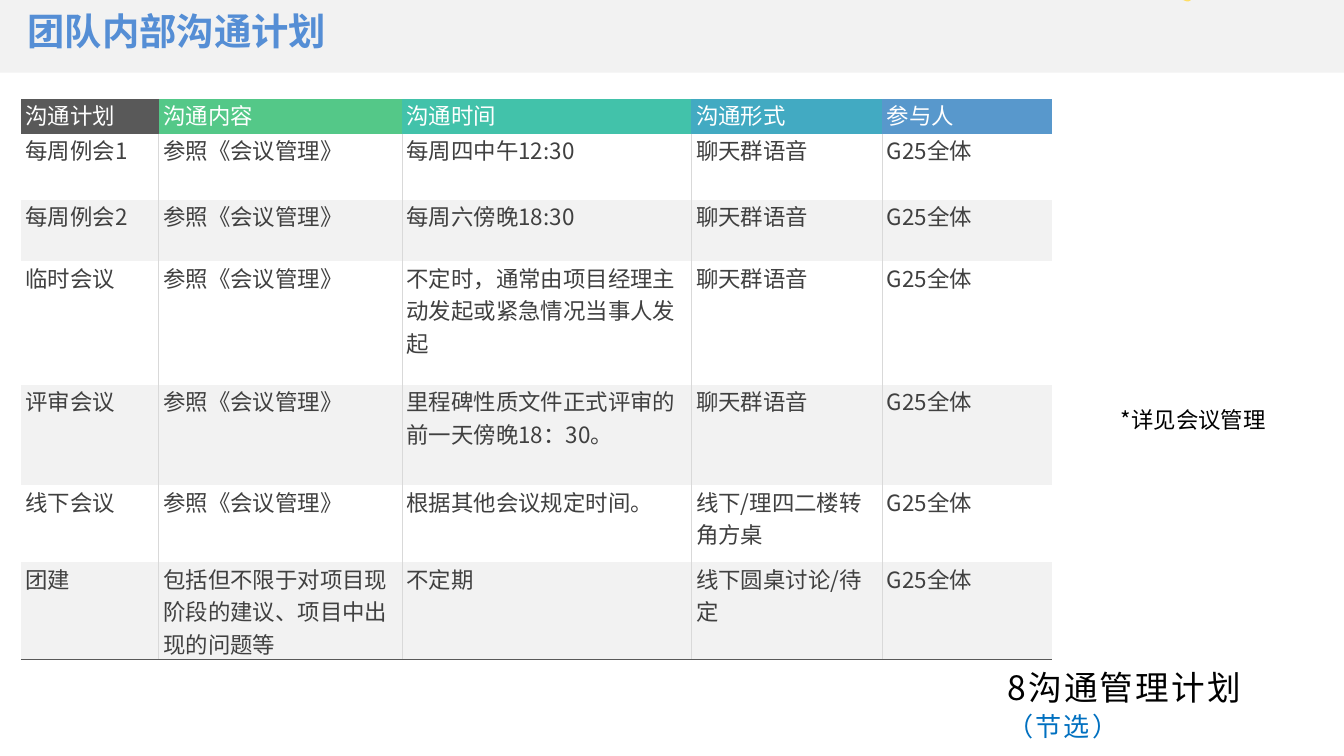
from dataclasses import dataclass

from lxml.etree import SubElement
from pptx import Presentation
from pptx.dml.color import RGBColor
from pptx.enum.shapes import MSO_SHAPE
from pptx.enum.text import MSO_ANCHOR, MSO_AUTO_SIZE, PP_ALIGN
from pptx.oxml import parse_xml
from pptx.oxml.ns import nsdecls, qn
from pptx.util import Pt

EMU_PER_PX = 9144  # 100 px to the inch


@dataclass(frozen=True)
class Theme:
    font: str = "Noto Sans CJK SC"
    title_size: int = 40
    chapter_size: int = 36
    excerpt_size: int = 28
    body_size: int = 24
    title: str = "558ED5"
    excerpt: str = "0070C0"
    black: str = "000000"
    body: str = "404040"
    white: str = "FFFFFF"
    band: str = "F2F2F2"
    accent: str = "FFDE62"
    grid: str = "D9D9D9"
    rule: str = "595959"
    headers: tuple = ("595959", "54C888", "42C2AA", "42AAC2", "5898CC")


THEME = Theme()

COLUMN_WIDTHS = (205, 362, 431, 284, 252)
ROW_HEIGHTS = (52, 98, 92, 184, 149, 115, 145)
MEETING_RULES = "参照《会议管理》"
GROUP_CALL = "聊天群语音"
EVERYONE = "G25全体"
PLAN = (
    ("沟通计划", "沟通内容", "沟通时间", "沟通形式", "参与人"),
    ("每周例会1", MEETING_RULES, "每周四中午12:30", GROUP_CALL, EVERYONE),
    ("每周例会2", MEETING_RULES, "每周六傍晚18:30", GROUP_CALL, EVERYONE),
    ("临时会议", MEETING_RULES, "不定时，通常由项目经理主动发起或紧急情况当事人发起",
     GROUP_CALL, EVERYONE),
    ("评审会议", MEETING_RULES, "里程碑性质文件正式评审的前一天傍晚18：30。",
     GROUP_CALL, EVERYONE),
    ("线下会议", MEETING_RULES, "根据其他会议规定时间。", "线下/理四二楼转角方桌", EVERYONE),
    ("团建", "包括但不限于对项目现阶段的建议、项目中出现的问题等", "不定期",
     "线下圆桌讨论/待定", EVERYONE),
)


def px(*lengths):
    return [length * EMU_PER_PX for length in lengths]


def rgb(color):
    return RGBColor.from_string(color)


def write(paragraph, text, size, color, bold=False, tracking=0):
    """Fill a paragraph; tracking is in hundredths of a point."""
    paragraph.text = text
    font = paragraph.font
    font.size, font.bold, font.name = Pt(size), bold, THEME.font
    font.color.rgb = rgb(color)
    properties = font._rPr
    SubElement(properties, qn("a:ea"), typeface=THEME.font)
    if tracking:
        properties.set("spc", str(tracking))


def paint(shape, color):
    shape.shadow.inherit = False
    shape.fill.solid()
    shape.fill.fore_color.rgb = rgb(color)
    shape.line.fill.background()


def add_header_band(slide):
    band = slide.shapes.add_shape(MSO_SHAPE.RECTANGLE, *px(0, -10, 2000, 118))
    paint(band, THEME.band)
    outline = slide.shapes.build_freeform(1760, 0, scale=EMU_PER_PX)
    outline.add_line_segments(
        [(1772, 0), (1771, 1), (1769, 2), (1766, 2), (1763, 1), (1761, 0)])
    paint(outline.convert_to_shape(), THEME.accent)


def place_title(slide, text):
    title = slide.shapes.title
    slide.shapes._spTree.append(title._element)  # in front of the band
    title.left, title.top, title.width, title.height = px(31, 15, 570, 77)
    frame = title.text_frame
    frame.vertical_anchor = MSO_ANCHOR.TOP
    frame.auto_size = MSO_AUTO_SIZE.NONE
    paragraph = frame.paragraphs[0]
    paragraph.alignment = PP_ALIGN.LEFT
    paragraph.line_spacing = 0.9
    paragraph.space_before = Pt(0)
    write(paragraph, text, THEME.title_size, THEME.title, bold=True)


def add_text_frame(slide, *box):
    frame = slide.shapes.add_textbox(*px(*box)).text_frame
    frame.word_wrap = True
    return frame


def add_chapter(slide):
    frame = add_text_frame(slide, 1499, 978, 937, 193)
    frame.margin_left = frame.margin_right = frame.margin_bottom = 0
    frame.margin_top = px(22)[0]
    chapter, excerpt = frame.paragraphs[0], frame.add_paragraph()
    chapter.line_spacing = excerpt.line_spacing = 0.9
    excerpt.space_before = Pt(5.8)
    write(chapter, "8沟通管理计划", THEME.chapter_size, THEME.black, tracking=240)
    write(excerpt, "（节选）", THEME.excerpt_size, THEME.excerpt, tracking=240)


def add_note(slide):
    note = add_text_frame(slide, 1625, 580, 444, 71).paragraphs[0]
    note.line_spacing = 1.5
    note._p.get_or_add_pPr().set("indent", str(px(33)[0]))
    write(note, "*详见会议管理", THEME.body_size, THEME.black)


def set_borders(cell, **edges):
    """Draw the given L, R, T, B edges as (colour, points); hide the rest."""
    properties = cell._tc.get_or_add_tcPr()
    for position, side in enumerate("LRTB"):
        if side in edges:
            color, width = edges[side]
            stroke = f'<a:solidFill><a:srgbClr val="{color}"/></a:solidFill>'
        else:
            width, stroke = 0, "<a:noFill/>"
        properties.insert(position, parse_xml(
            f'<a:ln{side} {nsdecls("a")} w="{Pt(width)}">{stroke}</a:ln{side}>'))


def body_edges(row, column):
    """Column dividers, the first one heavier, and a rule under the last row."""
    edges = {}
    if column > 0:
        edges["L"] = (THEME.grid, 1 if column == 1 else 0.5)
    if column < len(COLUMN_WIDTHS) - 1:
        edges["R"] = (THEME.grid, 1 if column == 0 else 0.5)
    if row == len(PLAN) - 1:
        edges["B"] = (THEME.rule, 1.5)
    return edges


def add_plan_table(slide):
    table = slide.shapes.add_table(
        len(PLAN), len(COLUMN_WIDTHS),
        *px(31, 147, sum(COLUMN_WIDTHS), sum(ROW_HEIGHTS))).table
    table.first_row = table.horz_banding = False
    for column, width in zip(table.columns, px(*COLUMN_WIDTHS)):
        column.width = width
    for row, height in zip(table.rows, px(*ROW_HEIGHTS)):
        row.height = height
    for r, entries in enumerate(PLAN):
        for c, entry in enumerate(entries):
            cell = table.cell(r, c)
            cell.margin_left = cell.margin_right = px(7)[0]
            cell.margin_top = cell.margin_bottom = 0
            is_header = r == 0
            stripe = THEME.white if r % 2 else THEME.band
            cell.fill.solid()
            cell.fill.fore_color.rgb = rgb(THEME.headers[c] if is_header else stripe)
            set_borders(cell, **({} if is_header else body_edges(r, c)))
            write(cell.text_frame.paragraphs[0], entry, THEME.body_size,
                  THEME.white if is_header else THEME.body)


def main():
    presentation = Presentation()
    presentation.slide_width, presentation.slide_height = px(2000, 1125)
    slide = presentation.slides.add_slide(presentation.slide_layouts[5])
    add_header_band(slide)
    add_chapter(slide)
    place_title(slide, "团队内部沟通计划")
    add_plan_table(slide)
    add_note(slide)
    presentation.save("out.pptx")


if __name__ == "__main__":
    main()
